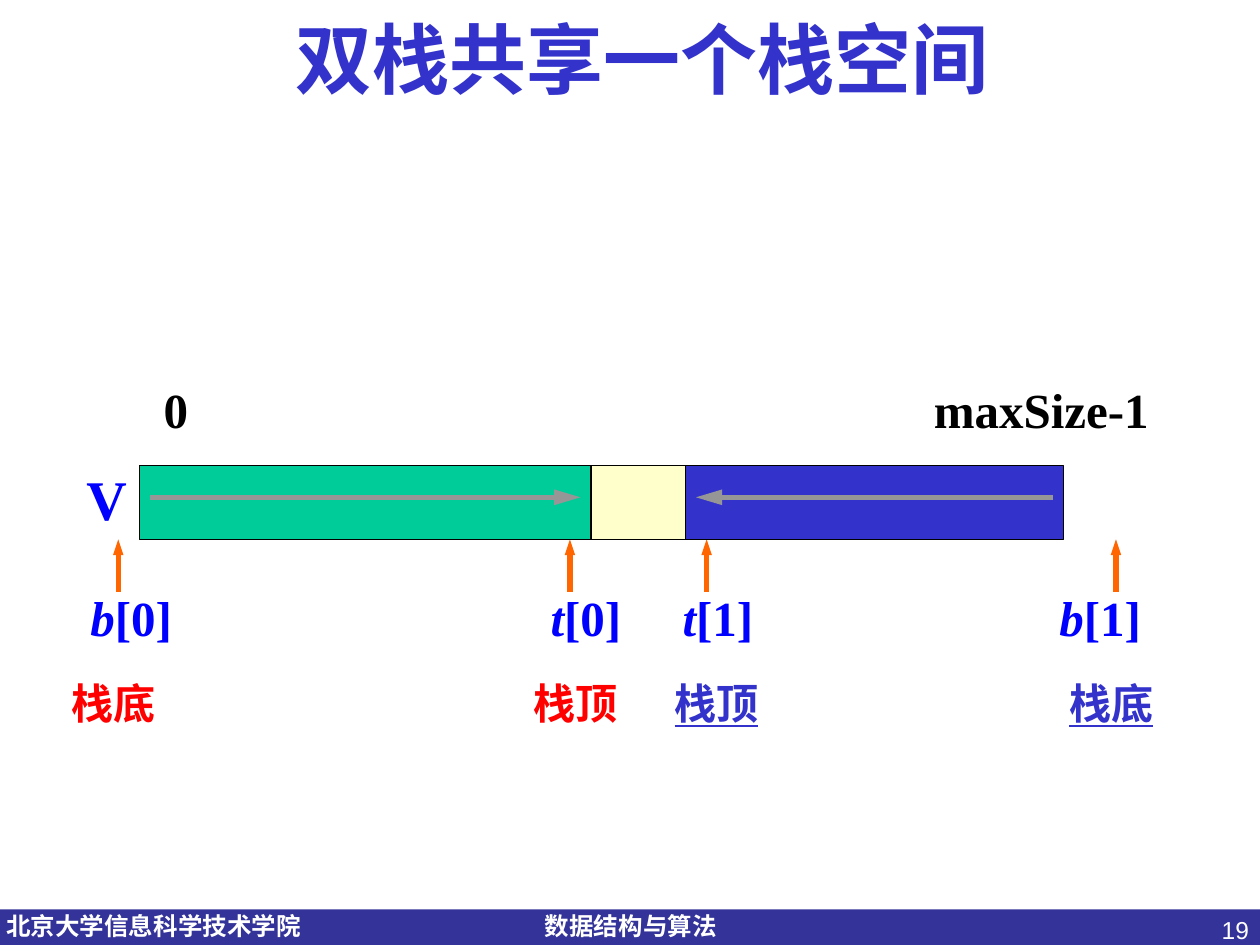
from lxml import etree
from pptx import Presentation
from pptx.dml.color import RGBColor
from pptx.enum.shapes import MSO_CONNECTOR, MSO_SHAPE
from pptx.enum.text import PP_ALIGN
from pptx.oxml.ns import qn
from pptx.util import Pt

RECTANGLE = MSO_SHAPE.RECTANGLE
STRAIGHT = MSO_CONNECTOR.STRAIGHT
LEFT, CENTER, RIGHT = PP_ALIGN.LEFT, PP_ALIGN.CENTER, PP_ALIGN.RIGHT

WHITE = RGBColor(0xFF, 0xFF, 0xFF)
BLACK = RGBColor(0x00, 0x00, 0x00)
NAVY = RGBColor(0x33, 0x33, 0x99)
INDIGO = RGBColor(0x33, 0x33, 0xCC)
BLUE = RGBColor(0x00, 0x00, 0xFF)
RED = RGBColor(0xFF, 0x00, 0x00)
ORANGE = RGBColor(0xFF, 0x66, 0x00)
GREEN = RGBColor(0x00, 0xCC, 0x99)
CREAM = RGBColor(0xFF, 0xFF, 0xCC)
GRAY = RGBColor(0x96, 0x96, 0x96)


def add_span(para, text, font="Arial", size=24, color=BLACK, bold=True,
             italic=False, underline=False):
    span = para.add_run()
    span.text = text
    span.font.name = font
    span.font.size = Pt(size)
    span.font.color.rgb = color
    span.font.bold = bold
    span.font.italic = italic
    span.font.underline = underline


class SlideBuilder:
    serif = "Times New Roman"
    arrow_width = 3
    border_width = 0.75

    def __init__(self, slide):
        self.slide = slide

    def paragraph(self, left, top, width, height, align=LEFT, wrap=True,
                  inset_left=7.2, inset_right=7.2):
        box = self.slide.shapes.add_textbox(Pt(left), Pt(top), Pt(width), Pt(height))
        frame = box.text_frame
        frame.word_wrap = wrap
        frame.margin_left, frame.margin_right = Pt(inset_left), Pt(inset_right)
        para = frame.paragraphs[0]
        para.alignment = align
        return para

    def label(self, text, left, top, width, height, align=LEFT, wrap=True,
              inset=7.2, **style):
        para = self.paragraph(left, top, width, height, align, wrap, inset, inset)
        add_span(para, text, **style)

    def tabbed_row(self, left, top, width, height, stops):
        para = self.paragraph(left, top, width, height, inset_right=0)
        tabs = etree.SubElement(para._p.get_or_add_pPr(), qn("a:tabLst"))
        for stop in stops:
            etree.SubElement(tabs, qn("a:tab"), pos=str(Pt(stop)), algn="l")
        return para

    def rectangle(self, left, top, width, height, fill, border=None):
        shape = self.slide.shapes.add_shape(
            RECTANGLE, Pt(left), Pt(top), Pt(width), Pt(height))
        shape.shadow.inherit = False
        shape.fill.solid()
        shape.fill.fore_color.rgb = fill
        if border is None:
            shape.line.fill.background()
        else:
            shape.line.color.rgb = border
            shape.line.width = Pt(self.border_width)

    def arrow(self, start, end, color, head_width="med", head_length="med"):
        line = self.slide.shapes.add_connector(
            STRAIGHT, *(Pt(value) for value in (*start, *end)))
        line.line.color.rgb = color
        line.line.width = Pt(self.arrow_width)
        etree.SubElement(line.line._get_or_add_ln(), qn("a:tailEnd"),
                         type="triangle", w=head_width, len=head_length)
        etree.SubElement(line._element.spPr, qn("a:effectLst"))


def build_footer(builder):
    builder.rectangle(0, 519.7, 720, 20.3, NAVY)
    for text, left, width in (("北京大学信息科学技术学院", 3.6, 175.7),
                              ("数据结构与算法", 311.4, 105.1)):
        builder.label(text, left, 517, width, 24.5, inset=0, size=14, color=WHITE)
    builder.label("19", 553, 519.1, 167.8, 37.4, align=RIGHT,
                  size=14, color=WHITE, bold=False)


def build_pointers(builder):
    row = builder.tabbed_row(44.6, 331.9, 614.2, 41, (263, 338.4, 553.7))
    pointers = (("b", "[0]"), ("t", "[0]"), ("t", "[1]"), ("b", "[1]"))
    for position, (name, index) in enumerate(pointers):
        if position:
            add_span(row, "\t", builder.serif, 28, BLUE)
        add_span(row, name, builder.serif, 28, BLUE, italic=True)
        add_span(row, index, builder.serif, 28, BLUE)
    for x in (67.6, 325.7, 403.8, 637.7):
        builder.arrow((x, 338.2), (x, 308.2), ORANGE, head_width="sm")


def build_array(builder):
    left = 79.7
    for width, fill in ((258, GREEN), (54, CREAM), (216, INDIGO)):
        builder.rectangle(left, 266.2, width, 42, fill, BLACK)
        left += width
    row = builder.tabbed_row(86.4, 213.1, 577.4, 41, (440.2,))
    add_span(row, "0\tmaxSize-1", builder.serif, 28)
    builder.label("V", 42.2, 262, 37.4, 46, wrap=False,
                  font=builder.serif, size=32, color=BLUE)
    for start, end in ((85.7, 331.7), (601.7, 397.7)):
        builder.arrow((start, 284.2), (end, 284.2), GRAY, head_length="lg")


def build_captions(builder):
    builder.label("双栈共享一个栈空间", 162, 3.2, 410.4, 60.5, align=CENTER,
                  inset=0, size=44, color=INDIGO)
    for text, left, color in (("栈底", 33.8, RED), ("栈顶", 297.6, RED),
                              ("栈底", 603.9, INDIGO), ("栈顶", 378.5, INDIGO)):
        builder.label(text, left, 383.5, 62, 36, align=CENTER, inset=0,
                      color=color, underline=color == INDIGO)


def main():
    deck = Presentation()
    deck.slide_width, deck.slide_height = Pt(720), Pt(540)
    page = deck.slides.add_slide(deck.slide_layouts[6])
    builder = SlideBuilder(page)
    build_footer(builder)
    build_pointers(builder)
    build_array(builder)
    build_captions(builder)
    deck.save("out.pptx")


if __name__ == "__main__":
    main()
